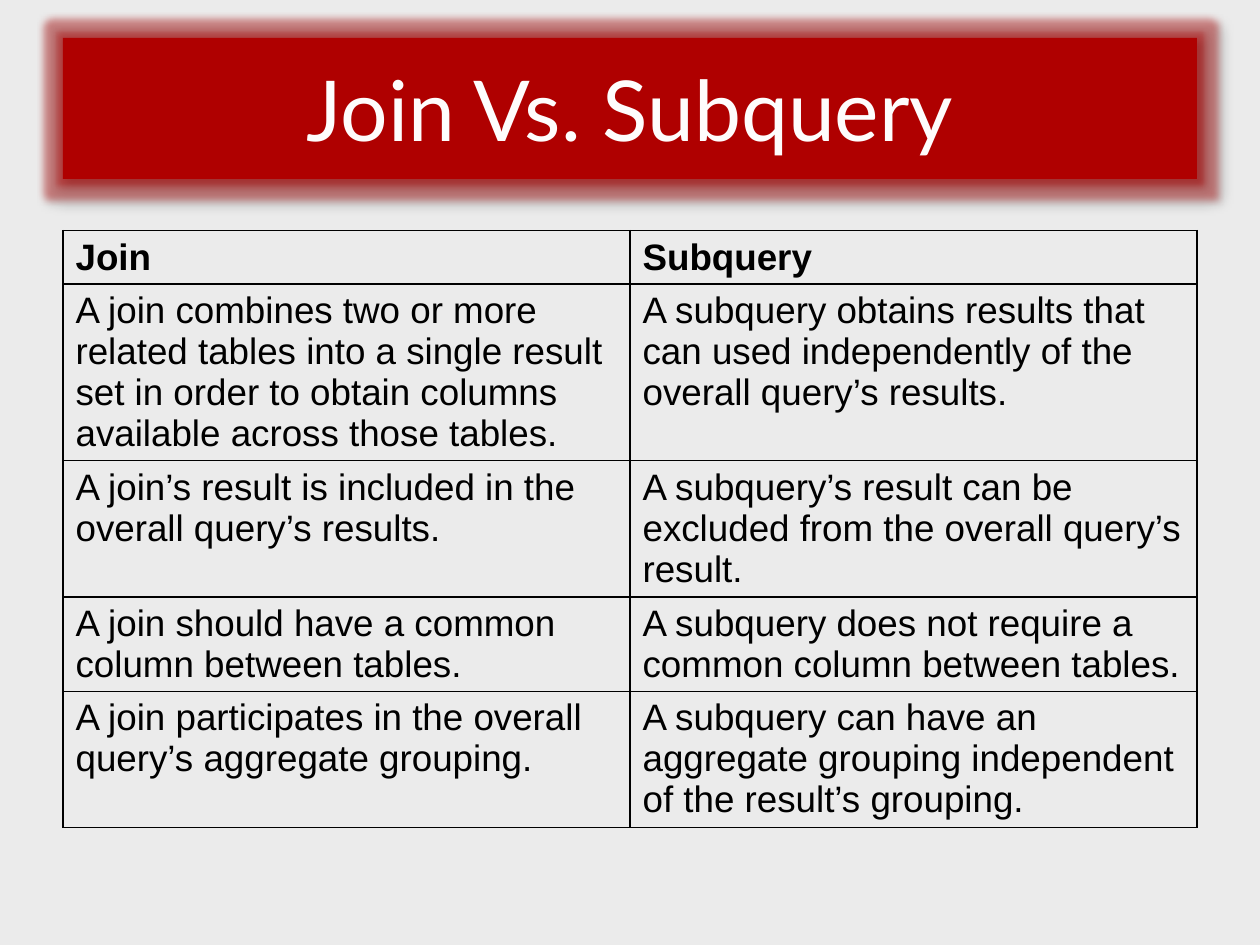
from lxml.etree import SubElement
from pptx import Presentation
from pptx.dml.color import RGBColor
from pptx.enum.shapes import MSO_SHAPE
from pptx.enum.text import MSO_ANCHOR, PP_ALIGN
from pptx.oxml.ns import qn
from pptx.util import Inches, Pt

RED = "AF0000"
BLACK = "000000"
ROW_HEIGHTS = [0.42, 1.4, 1.08, 0.75, 1.08]
COMPARISON = [
    ("Join", "Subquery"),
    ("A join combines two or more related tables into a single result set "
     "in order to obtain columns available across those tables.",
     "A subquery obtains results that can used independently of the "
     "overall query’s results."),
    ("A join’s result is included in the overall query’s results.",
     "A subquery’s result can be excluded from the overall query’s result."),
    ("A join should have a common column between tables.",
     "A subquery does not require a common column between tables."),
    ("A join participates in the overall query’s aggregate grouping.",
     "A subquery can have an aggregate grouping independent of the "
     "result’s grouping."),
]


def color(value):
    return RGBColor.from_string(value)


def format_font(font, name, size, value, bold=False):
    font.name = name
    font.size = Pt(size)
    font.bold = bold
    font.color.rgb = color(value)


def add_effect(effects, kind, value, alpha, **settings):
    effect = SubElement(effects, qn(f"a:{kind}"),
                        {key: str(number) for key, number in settings.items()})
    tint = SubElement(effect, qn("a:srgbClr"), val=value)
    SubElement(tint, qn("a:alpha"), val=str(alpha * 1000))


def add_title(page, text):
    banner = page.shapes.add_shape(MSO_SHAPE.RECTANGLE, Inches(0.5), Inches(0.3),
                                   Inches(9), Inches(1.12))
    banner.fill.solid()
    banner.fill.fore_color.rgb = color(RED)
    banner.line.fill.background()
    banner.shadow.inherit = False
    effects = banner.element.spPr.find(qn("a:effectLst"))
    add_effect(effects, "glow", RED, 40, rad=Pt(8))
    add_effect(effects, "outerShdw", BLACK, 40,
               blurRad=Pt(4), dist=Pt(3), dir=45 * 60000)
    frame = banner.text_frame
    frame.text = text
    frame.vertical_anchor = MSO_ANCHOR.MIDDLE
    paragraph = frame.paragraphs[0]
    paragraph.alignment = PP_ALIGN.CENTER
    format_font(paragraph.runs[0].font, "Lato", 48, "FEFCFC")


def set_borders(cell, value, width):
    properties = cell._tc.get_or_add_tcPr()
    for index, side in enumerate(("lnL", "lnR", "lnT", "lnB")):
        line = SubElement(properties, qn(f"a:{side}"), w=str(Pt(width)))
        fill = SubElement(line, qn("a:solidFill"))
        SubElement(fill, qn("a:srgbClr"), val=value)
        properties.insert(index, line)


def add_comparison(page, rows):
    table = page.shapes.add_table(len(rows), 2, Inches(0.5), Inches(1.83),
                                  Inches(9), Inches(sum(ROW_HEIGHTS))).table
    table.horz_banding = False
    for row, height in zip(table.rows, ROW_HEIGHTS):
        row.height = Inches(height)
    for row_index, texts in enumerate(rows):
        for column_index, text in enumerate(texts):
            cell = table.cell(row_index, column_index)
            cell.fill.background()
            set_borders(cell, BLACK, 1)
            cell.text_frame.text = text
            span = cell.text_frame.paragraphs[0].runs[0]
            format_font(span.font, "Arial", 21, BLACK, bold=row_index == 0)


def main():
    deck = Presentation()
    deck.slide_width = Inches(10)
    deck.slide_height = Inches(7.5)
    page = deck.slides.add_slide(deck.slide_layouts[6])
    page.background.fill.solid()
    page.background.fill.fore_color.rgb = color("EBEBEB")
    add_title(page, "Join Vs. Subquery")
    add_comparison(page, COMPARISON)
    deck.save("out.pptx")


if __name__ == "__main__":
    main()
